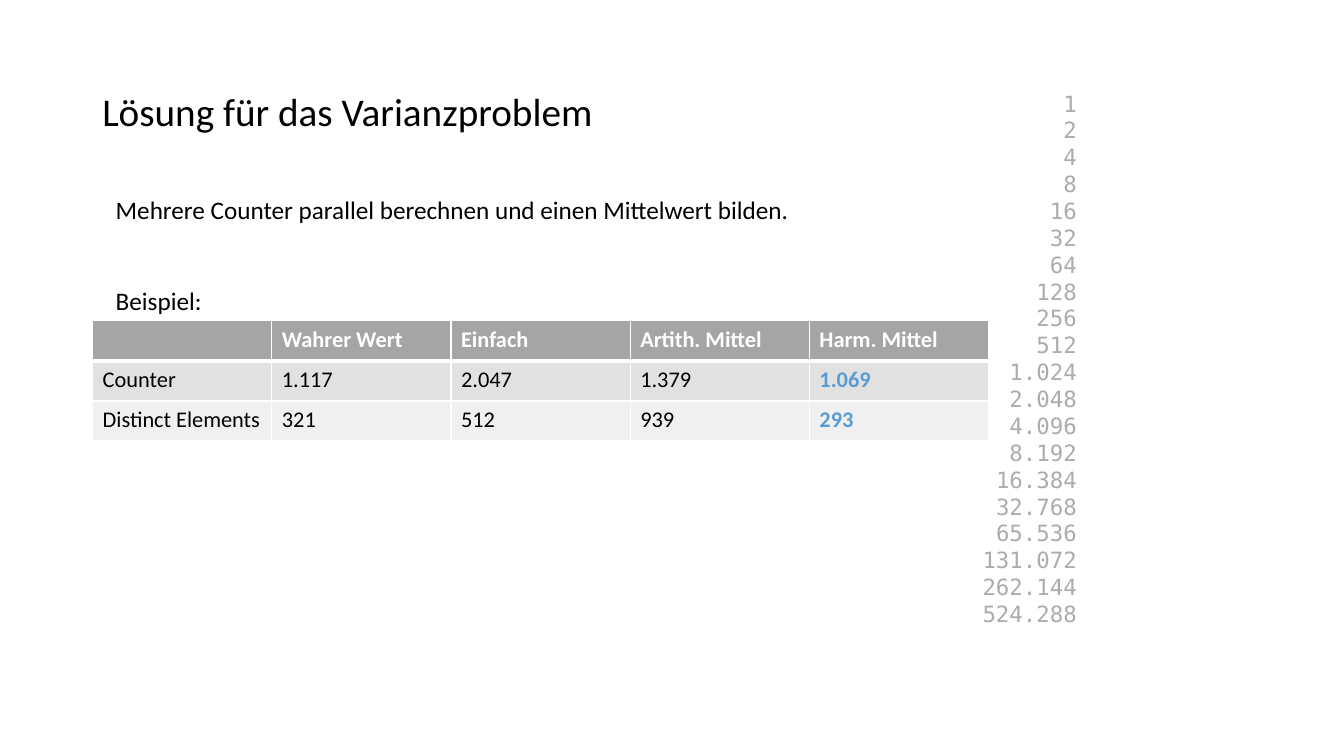
"""Build the slide on solving the variance problem with several counters."""
import dataclasses

import lxml.etree
import pptx
import pptx.dml.color
import pptx.enum.text
import pptx.oxml.ns
import pptx.util

Pt = pptx.util.Pt
Align = pptx.enum.text.PP_ALIGN
Anchor = pptx.enum.text.MSO_ANCHOR


@dataclasses.dataclass(frozen=True)
class Theme:
    font: str = "Calibri"
    mono_font: str = "DejaVu Sans Mono"
    title_size: int = 28
    body_size: int = 18
    small_size: int = 16
    text: str = "000000"
    light: str = "FFFFFF"
    muted: str = "AFABAB"
    accent: str = "5B9BD5"
    header_fill: str = "A5A5A5"
    row_fills: tuple = ("E1E1E1", "F0F0F0")


class SlideBuilder:
    def __init__(self, slide, theme):
        self.slide = slide
        self.theme = theme

    def add_run(self, paragraph, text, size, color, font=None, bold=False):
        run = paragraph.add_run()
        run.text = text
        run.font.name = font or self.theme.font
        run.font.size = Pt(size)
        run.font.bold = bold
        run.font.color.rgb = pptx.dml.color.RGBColor.from_string(color)

    def add_text(self, box, lines, size, color, font=None, align=Align.LEFT,
                 anchor=Anchor.TOP, line_spacing=1.0, gap=0):
        shape = self.slide.shapes.add_textbox(*map(Pt, box))
        frame = shape.text_frame
        frame.word_wrap = True
        frame.vertical_anchor = anchor
        for index, line in enumerate(lines):
            paragraph = frame.add_paragraph() if index else frame.paragraphs[0]
            paragraph.alignment = align
            paragraph.line_spacing = line_spacing
            paragraph.space_before = Pt(gap if index else 0)
            self.add_run(paragraph, line, size, color, font)

    def add_border(self, cell, side, width):
        properties = cell._tc.get_or_add_tcPr()
        qn = pptx.oxml.ns.qn
        line = lxml.etree.SubElement(properties, qn(f"a:ln{side}"), w=str(Pt(width)))
        fill = lxml.etree.SubElement(line, qn("a:solidFill"))
        lxml.etree.SubElement(fill, qn("a:srgbClr"), val=self.theme.light)

    def style_cell(self, cell, text, fill, color, bold, top, bottom):
        for side, width in (("L", 1), ("R", 1), ("T", top), ("B", bottom)):
            self.add_border(cell, side, width)
        cell.fill.solid()
        cell.fill.fore_color.rgb = pptx.dml.color.RGBColor.from_string(fill)
        self.add_run(cell.text_frame.paragraphs[0], text,
                     self.theme.small_size, color, bold=bold)

    def add_table(self, box, rows):
        theme = self.theme
        column_count = len(rows[0])
        table = self.slide.shapes.add_table(len(rows), column_count, *map(Pt, box)).table
        table.horz_banding = False
        fills = (theme.header_fill, *theme.row_fills)
        for row_index, (row, fill) in enumerate(zip(rows, fills)):
            is_header = row_index == 0
            for column_index, text in enumerate(row):
                is_result = column_index == column_count - 1
                color = theme.accent if is_result else theme.text
                self.style_cell(
                    table.cell(row_index, column_index), text, fill,
                    theme.light if is_header else color,
                    bold=is_header or is_result,
                    top=3 if row_index == 1 else 1,
                    bottom=3 if is_header else 1)


presentation = pptx.Presentation()
presentation.slide_width = Pt(960)
presentation.slide_height = Pt(540)
theme = Theme()
builder = SlideBuilder(
    presentation.slides.add_slide(presentation.slide_layouts[6]), theme)

builder.add_text((66, 28.8, 828, 104.4), ["Lösung für das Varianzproblem"],
                 theme.title_size, theme.text, anchor=Anchor.MIDDLE, line_spacing=0.9)
builder.add_text((75.6, 124.6, 784, 170.6),
                 ["Mehrere Counter parallel berechnen und einen Mittelwert bilden.",
                  "Beispiel:"],
                 theme.body_size, theme.text, line_spacing=1.5, gap=32.5)
powers_of_two = [f"{2 ** exponent:,}".replace(",", ".") for exponent in range(20)]
builder.add_text((666, 60.5, 110.2, 406.8), powers_of_two, theme.small_size,
                 theme.muted, theme.mono_font, Align.RIGHT)
builder.add_table((66.2, 229, 640, 85.8), [
    ["", "Wahrer Wert", "Einfach", "Artith. Mittel", "Harm. Mittel"],
    ["Counter", "1.117", "2.047", "1.379", "1.069"],
    ["Distinct Elements", "321", "512", "939", "293"],
])

presentation.save("out.pptx")
